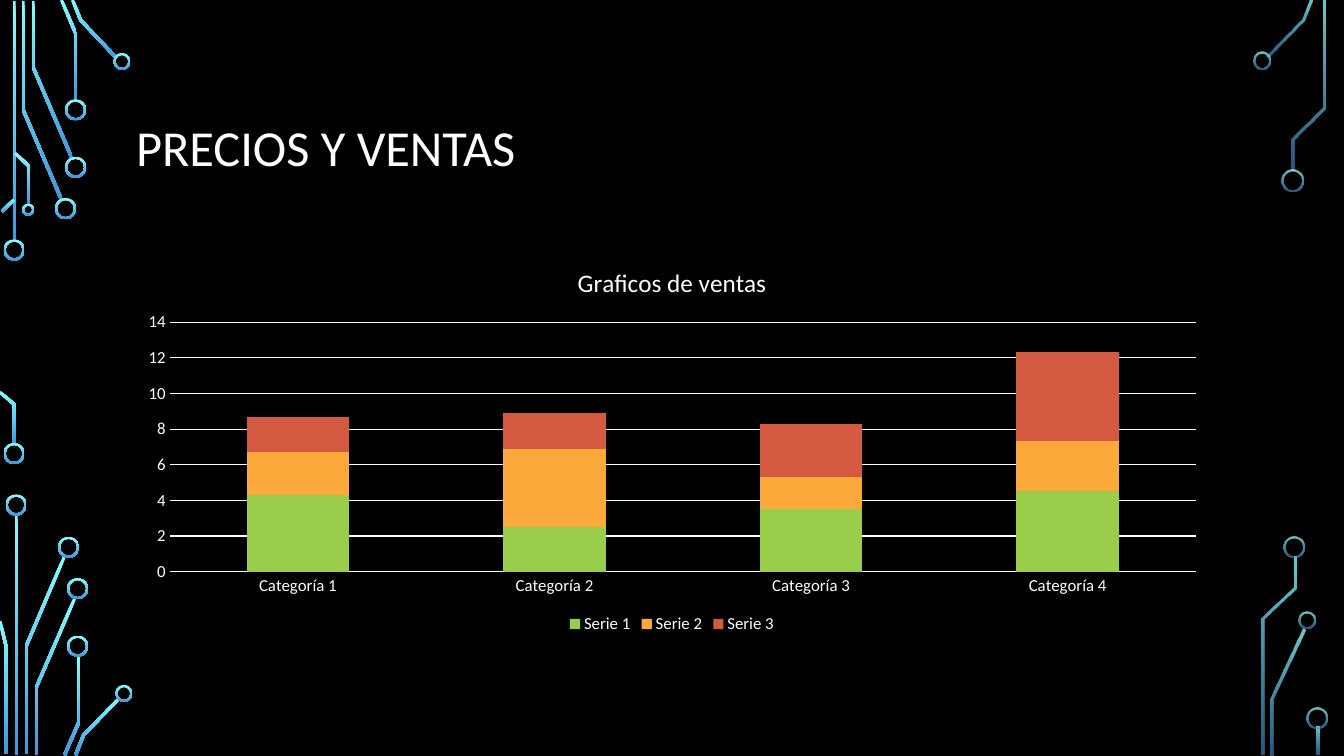
import math
from dataclasses import dataclass

import pptx
import pptx.chart.data
import pptx.dml.color
import pptx.enum.chart
import pptx.enum.shapes
import pptx.enum.text
import pptx.oxml
import pptx.oxml.ns
import pptx.util

TITLE = "PRECIOS Y VENTAS"
SALES = {
    "title": "Graficos de ventas",
    "cats": ["Categoría 1", "Categoría 2", "Categoría 3", "Categoría 4"],
    "series": [
        ("Serie 1", (4.3, 2.5, 3.5, 4.5), "9ACD4C"),
        ("Serie 2", (2.4, 4.4, 1.8, 2.8), "FAA93A"),
        ("Serie 3", (2, 2, 3, 5), "D35940"),
    ],
}

# Circuit traces: centre lines, in inches
LEFT_WIRES = [
    [(0.14, 0.01), (0.14, 2.4)],
    [(0.61, 1.98), (0.23, 1.09), (0.23, 0.01)],
    [(0.71, 1.56), (0.33, 0.67), (0.33, 0.01)],
    [(0.61, 0), (0.75, 0.33), (0.75, 1)],
    [(0.72, 0), (0.8, 0.2), (1.15, 0.57)],
    [(0.02, 2.1), (0.14, 1.98)],
    [(0, 3.89), (0.14, 4.01), (0.14, 4.41)],
    [(0.15, 1.52), (0.29, 1.65), (0.29, 2.03)],
    [(0.16, 5.1), (0.16, 7.49)],
    [(0.26, 7.48), (0.26, 6.41), (0.64, 5.52)],
    [(0, 6.16), (0.06, 6.41), (0.06, 7.48)],
    [(0.36, 7.49), (0.36, 6.82), (0.74, 5.94)],
    [(0.64, 7.49), (0.78, 7.17), (0.78, 6.5)],
    [(0.75, 7.49), (0.83, 7.29), (1.18, 6.93)],
]
RIGHT_WIRES = [
    [(12.57, 0.56), (12.92, 0.2), (13, 0)],
    [(12.62, 7.49), (12.62, 6.93), (12.93, 6.24)],
    [(12.82, 1.69), (12.82, 1.38), (13.13, 1.07), (13.13, 0.01)],
    [(12.53, 7.49), (12.53, 6.14), (12.84, 5.83), (12.84, 5.52)],
    [(13.07, 7.21), (13.07, 7.49)],
]
# Round pads: centre x, centre y, width
LEFT_PADS = [
    (0.14, 2.48, 0.21), (0.14, 4.5, 0.21), (0.65, 2.07, 0.21),
    (0.75, 1.66, 0.21), (0.75, 1.09, 0.21), (1.21, 0.61, 0.17),
    (0.28, 2.08, 0.12), (0.16, 5.01, 0.21), (0.68, 5.43, 0.21),
    (0.77, 5.84, 0.21), (0.77, 6.41, 0.21), (1.23, 6.88, 0.17),
]
RIGHT_PADS = [
    (12.52, 0.6, 0.17), (12.82, 1.79, 0.21), (12.96, 6.15, 0.17),
    (12.83, 5.43, 0.21), (13.06, 7.12, 0.21),
]
SIDES = [
    (LEFT_WIRES, LEFT_PADS, (100, 100)),
    (RIGHT_WIRES, RIGHT_PADS, (80, 60)),
]
WIRE = 0.03
RIM = 0.02


@dataclass
class Theme:
    font: str = "Calibri"
    back: str = "000000"
    text: str = "FFFFFF"
    glow: tuple = ("82FFFF", "3D97DE")
    head: int = 36
    name: int = 18
    label: int = 12
    rule: float = 0.75


LOOK = Theme()


def size(inch):
    return pptx.util.Cm(inch * 2.54)


def tint(code):
    return pptx.dml.color.RGBColor.from_string(code)


def style(font, points):
    font.name = LOOK.font
    font.size = pptx.util.Pt(points)
    font.color.rgb = tint(LOOK.text)
    font.bold = False


def rule(line):
    line.color.rgb = tint(LOOK.text)
    line.width = pptx.util.Pt(LOOK.rule)


def glow(shape, alphas):
    """Fill with the top-to-bottom gradient, each stop with its opacity in percent."""
    shape.shadow.inherit = False
    shape.line.fill.background()
    shape.fill.gradient()
    shape.fill.gradient_angle = 270
    for stop, code, place, alpha in zip(
            shape.fill.gradient_stops, LOOK.glow, (0, 1), alphas):
        stop.color.rgb = tint(code)
        stop.position = place
    if min(alphas) < 100:
        codes = shape.element.xpath(".//a:gradFill//a:srgbClr")
        for node, alpha in zip(codes, alphas):
            node.append(pptx.oxml.parse_xml(
                f'<a:alpha {pptx.oxml.ns.nsdecls("a")} val="{alpha * 1000}"/>'))


def outline(points):
    """Return the mitred outline of a band of width WIRE along the points."""
    norms = []
    for (ax, ay), (bx, by) in zip(points, points[1:]):
        span = math.hypot(bx - ax, by - ay)
        norms.append(((ay - by) / span, (bx - ax) / span))
    near, far = [], []
    for (x, y), (px, py), (qx, qy) in zip(
            points, norms[:1] + norms, norms + norms[-1:]):
        reach = WIRE / 2 / (1 + px * qx + py * qy)
        dx, dy = (px + qx) * reach, (py + qy) * reach
        near.append((size(x + dx), size(y + dy)))
        far.append((size(x - dx), size(y - dy)))
    return near + far[::-1]


def add_wire(slide, points, alphas):
    first, *rest = outline(points)
    form = slide.shapes.build_freeform(*first)
    form.add_line_segments(rest, close=True)
    glow(form.convert_to_shape(), alphas)


def add_pad(slide, x, y, width, alphas):
    ring = slide.shapes.add_shape(
        pptx.enum.shapes.MSO_SHAPE.DONUT, size(x - width / 2),
        size(y - width / 2), size(width), size(width))
    ring.adjustments[0] = RIM / width
    glow(ring, alphas)


def add_title(slide):
    title = slide.shapes.title
    title.left, title.top = size(1.25), size(0.68)
    title.width, title.height = size(10.83), size(1.62)
    frame = title.text_frame
    frame.word_wrap = True
    frame.auto_size = pptx.enum.text.MSO_AUTO_SIZE.NONE
    frame.vertical_anchor = pptx.enum.text.MSO_ANCHOR.MIDDLE
    para = frame.paragraphs[0]
    para.alignment = pptx.enum.text.PP_ALIGN.LEFT
    para.line_spacing = 0.9
    run = para.add_run()
    run.text = TITLE
    style(run.font, LOOK.head)


def place_plot(chart, **parts):
    """Fix the inner plot area, as fractions of the chart."""
    area = chart.element.xpath(".//c:plotArea")[0]
    for old in area.xpath("./c:layout"):
        area.remove(old)
    modes = '<c:xMode val="edge"/><c:yMode val="edge"/>'
    sides = "".join(f'<c:{key} val="{val}"/>' for key, val in parts.items())
    area.insert(0, pptx.oxml.parse_xml(
        f'<c:layout {pptx.oxml.ns.nsdecls("c")}><c:manualLayout>'
        f'<c:layoutTarget val="inner"/>{modes}{sides}</c:manualLayout></c:layout>'))


def add_sales(slide):
    kinds = pptx.enum.chart
    data = pptx.chart.data.CategoryChartData()
    data.categories = SALES["cats"]
    for name, vals, code in SALES["series"]:
        data.add_series(name, vals)
    chart = slide.shapes.add_chart(
        kinds.XL_CHART_TYPE.COLUMN_STACKED, size(1.25), size(2.46),
        size(10.83), size(3.87), data).chart
    style(chart.font, LOOK.label)
    chart.has_title = True
    run = chart.chart_title.text_frame.paragraphs[0].add_run()
    run.text = SALES["title"]
    style(run.font, LOOK.name)
    chart.has_legend = True
    chart.legend.position = kinds.XL_LEGEND_POSITION.BOTTOM
    chart.legend.include_in_layout = False
    style(chart.legend.font, LOOK.label)

    plot = chart.plots[0]
    plot.gap_width, plot.overlap = 150, 100
    plot.vary_by_categories = False
    for series, (name, vals, code) in zip(plot.series, SALES["series"]):
        series.format.fill.solid()
        series.format.fill.fore_color.rgb = tint(code)
    for axis in (chart.category_axis, chart.value_axis):
        axis.major_tick_mark = kinds.XL_TICK_MARK.NONE
        axis.minor_tick_mark = kinds.XL_TICK_MARK.NONE
        style(axis.tick_labels.font, LOOK.label)
    rule(chart.category_axis.format.line)
    scale = chart.value_axis
    scale.minimum_scale, scale.maximum_scale, scale.major_unit = 0, 14, 2
    scale.format.line.fill.background()
    rule(scale.major_gridlines.format.line)
    place_plot(chart, x=0.04, y=0.19, w=0.94, h=0.64)


def main():
    deck = pptx.Presentation()
    deck.slide_width, deck.slide_height = size(13.33), size(7.5)
    slide = deck.slides.add_slide(deck.slide_layouts[5])
    slide.background.fill.solid()
    slide.background.fill.fore_color.rgb = tint(LOOK.back)
    for wires, pads, alphas in SIDES:
        for points in wires:
            add_wire(slide, points, alphas)
        for pad in pads:
            add_pad(slide, *pad, alphas)
    add_title(slide)
    add_sales(slide)
    deck.save("out.pptx")


if __name__ == "__main__":
    main()
